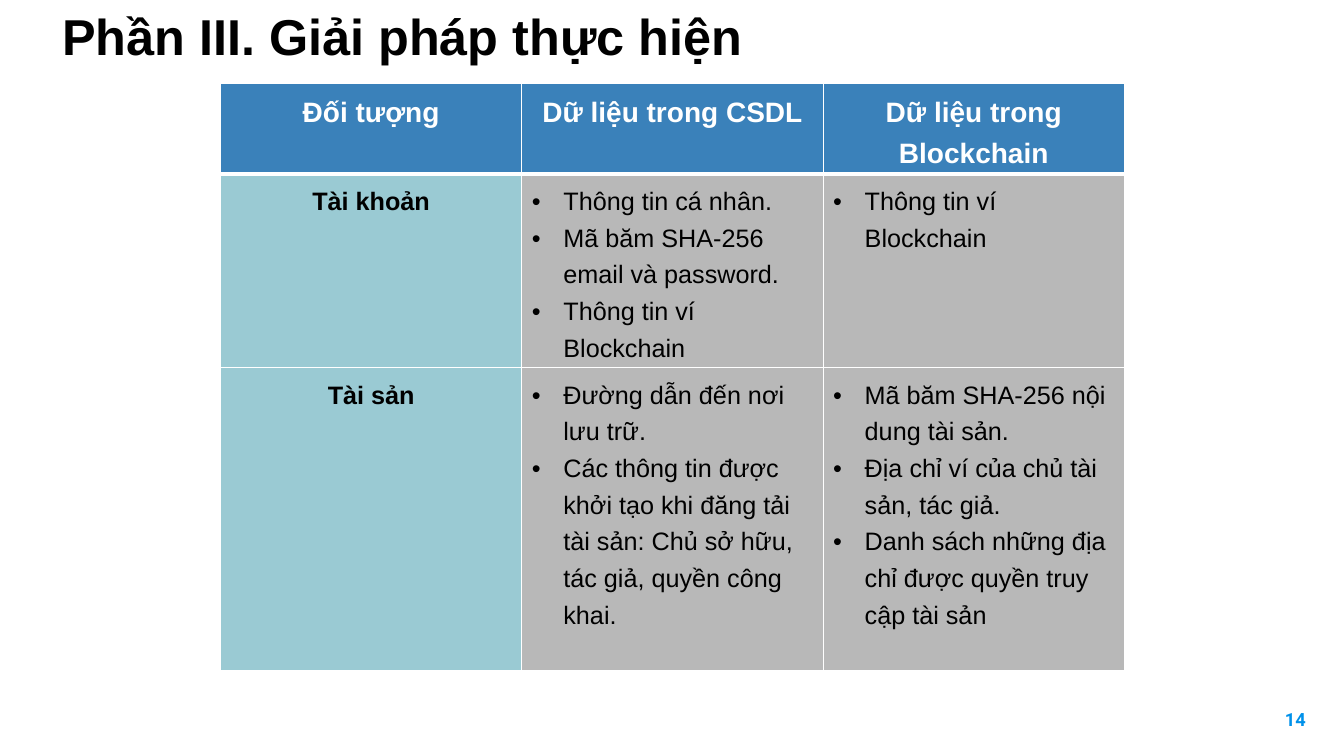
from dataclasses import dataclass

from lxml.etree import SubElement
from pptx import Presentation
from pptx.dml.color import RGBColor
from pptx.enum.text import PP_ALIGN as Align
from pptx.oxml.ns import qn
from pptx.slide import Slide
from pptx.table import _Cell as Cell
from pptx.text.text import _Paragraph as Paragraph
from pptx.util import Emu, Pt

EMU_PER_PX = 9525
COLORS = {
    "header": "3A81BA",
    "subject": "9ACAD3",
    "detail": "B8B8B8",
    "border": "FFFFFF",
    "light": "FFFFFF",
    "dark": "000000",
    "number": "0091EA",
}
COLUMN_WIDTH = 287
ROW_HEIGHTS = (86, 184, 288)
BULLET_INDENT = 30


@dataclass(frozen=True)
class TextStyle:
    size: int
    color: str
    bold: bool = True
    font: str = "Arial"
    align: Align = Align.LEFT
    line_spacing: float = 1.0


@dataclass(frozen=True)
class CellStyle:
    fill: str
    text: TextStyle
    bulleted: bool = False
    bottom_border: int = 1


@dataclass(frozen=True)
class Label:
    text: str
    box: tuple[int, int, int, int]
    style: TextStyle
    margin_y: int


HEADER = CellStyle("header", TextStyle(20, "light", align=Align.CENTER, line_spacing=1.3),
                   bottom_border=3)
SUBJECT = CellStyle("subject", TextStyle(18, "dark", align=Align.CENTER, line_spacing=1.3))
DETAIL = CellStyle("detail", TextStyle(18, "dark", bold=False, line_spacing=1.3), bulleted=True)

LABELS = (
    Label("14", (1176, 665, 77, 55),
          TextStyle(13, "number", font="Roboto", align=Align.RIGHT), 10),
    Label("Phần III. Giải pháp thực hiện", (50, 0, 775, 68), TextStyle(36, "dark"), 5),
)

STORAGE_ROWS = (
    (["Đối tượng"], ["Dữ liệu trong CSDL"], ["Dữ liệu trong Blockchain"]),
    (
        ["Tài khoản"],
        ["Thông tin cá nhân.", "Mã băm SHA-256 email và password.", "Thông tin ví Blockchain"],
        ["Thông tin ví Blockchain"],
    ),
    (
        ["Tài sản"],
        [
            "Đường dẫn đến nơi lưu trữ.",
            "Các thông tin được khởi tạo khi đăng tải tài sản: "
            "Chủ sở hữu, tác giả, quyền công khai.",
        ],
        [
            "Mã băm SHA-256 nội dung tài sản.",
            "Địa chỉ ví của chủ tài sản, tác giả.",
            "Danh sách những địa chỉ được quyền truy cập tài sản",
        ],
    ),
)


def px(length: int) -> Emu:
    return Emu(length * EMU_PER_PX)


def rgb(name: str) -> RGBColor:
    return RGBColor.from_string(COLORS[name])


def write(paragraph: Paragraph, text: str, style: TextStyle) -> None:
    paragraph.alignment = style.align
    paragraph.line_spacing = style.line_spacing
    run = paragraph.add_run()
    run.text = text
    run.font.name = style.font
    run.font.size = Pt(style.size)
    run.font.bold = style.bold
    run.font.color.rgb = rgb(style.color)


def add_bullet(paragraph: Paragraph) -> None:
    properties = paragraph._p.get_or_add_pPr()
    properties.set("marL", str(px(BULLET_INDENT)))
    properties.set("indent", str(-px(BULLET_INDENT)))
    SubElement(properties, qn("a:buFont"), typeface="Arial")
    SubElement(properties, qn("a:buChar"), char="•")


def add_borders(cell: Cell, bottom: int) -> None:
    """Draw the four edges; call before filling, as the schema puts lines first."""
    properties = cell._tc.get_or_add_tcPr()
    for edge, width in (("lnL", 1), ("lnR", 1), ("lnT", 1), ("lnB", bottom)):
        line = SubElement(properties, qn(f"a:{edge}"), w=str(Pt(width)))
        fill = SubElement(line, qn("a:solidFill"))
        SubElement(fill, qn("a:srgbClr"), val=COLORS["border"])


def fill_cell(cell: Cell, items: list[str], style: CellStyle) -> None:
    add_borders(cell, style.bottom_border)
    cell.fill.solid()
    cell.fill.fore_color.rgb = rgb(style.fill)
    frame = cell.text_frame
    for index, item in enumerate(items):
        paragraph = frame.add_paragraph() if index else frame.paragraphs[0]
        write(paragraph, item, style.text)
        if style.bulleted:
            add_bullet(paragraph)


def cell_style(row: int, column: int) -> CellStyle:
    if row == 0:
        return HEADER
    return DETAIL if column else SUBJECT


def add_storage_table(slide: Slide) -> None:
    column_count = len(STORAGE_ROWS[0])
    table = slide.shapes.add_table(
        len(STORAGE_ROWS), column_count, px(210), px(79),
        px(COLUMN_WIDTH * column_count), px(sum(ROW_HEIGHTS)),
    ).table
    table.horz_banding = False
    for column in table.columns:
        column.width = px(COLUMN_WIDTH)
    for row, (height, contents) in enumerate(zip(ROW_HEIGHTS, STORAGE_ROWS)):
        table.rows[row].height = px(height)
        for column, items in enumerate(contents):
            fill_cell(table.cell(row, column), items, cell_style(row, column))


def add_label(slide: Slide, label: Label) -> None:
    frame = slide.shapes.add_textbox(*map(px, label.box)).text_frame
    frame.word_wrap = True
    frame.margin_top = frame.margin_bottom = px(label.margin_y)
    write(frame.paragraphs[0], label.text, label.style)


def main() -> None:
    deck = Presentation()
    deck.slide_width, deck.slide_height = px(1280), px(720)
    slide = deck.slides.add_slide(deck.slide_layouts[6])
    add_storage_table(slide)
    for label in LABELS:
        add_label(slide, label)
    deck.save("out.pptx")


if __name__ == "__main__":
    main()
